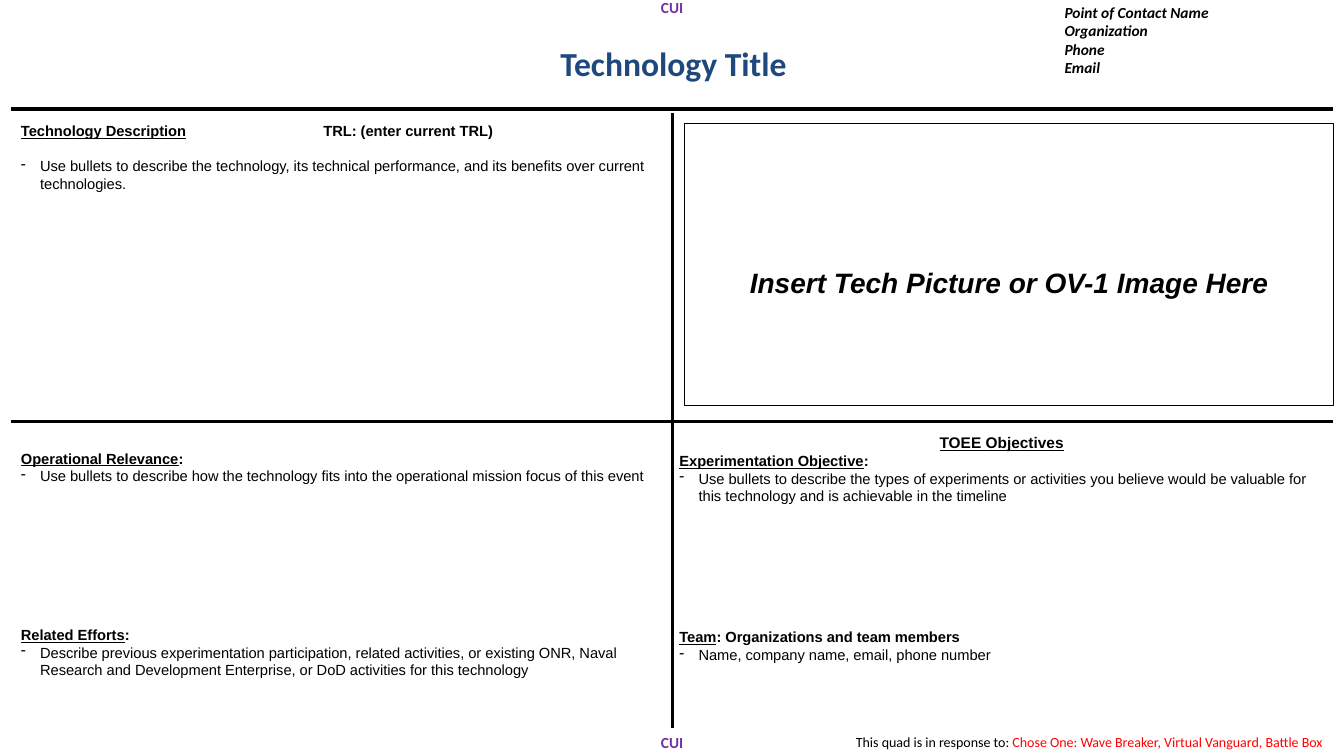
from dataclasses import dataclass

import pptx
import pptx.dml.color
import pptx.enum.shapes
import pptx.enum.text
import pptx.oxml
import pptx.oxml.ns
import pptx.util
from pptx.util import Inches

COLORS = {"black": "000000", "navy": "1F497D", "purple": "7030A0", "red": "FF0000"}
LEFT = pptx.enum.text.PP_ALIGN.LEFT
CENTER = pptx.enum.text.PP_ALIGN.CENTER
TOP = pptx.enum.text.MSO_ANCHOR.TOP
MIDDLE = pptx.enum.text.MSO_ANCHOR.MIDDLE
HANGING = 0.19  # bullet indent, inches
LINE = 12.6  # height of one body line, points


@dataclass
class Run:
    text: str
    size: float = 10.5
    font: str = "Arial"
    color: str = "black"
    bold: bool = False
    italic: bool = False
    underline: bool = False


@dataclass
class Paragraph:
    runs: list[Run]
    align: int = LEFT
    bullet: bool = False
    space_before: float = 0


@dataclass
class Box:
    left: float
    top: float
    width: float
    height: float
    paragraphs: list[Paragraph]
    anchor: int = TOP
    wrap: bool = True
    inset_top: float = 0.05
    framed: bool = False


@dataclass
class Rule:
    x1: float
    y1: float
    x2: float
    y2: float
    weight: float


def heading(underlined: str, rest: str, space_before: float = 0) -> Paragraph:
    return Paragraph([Run(underlined, bold=True, underline=True), Run(rest, bold=True)],
                     space_before=space_before)


def bullet(text: str, space_before: float = 0) -> Paragraph:
    return Paragraph([Run(text)], bullet=True, space_before=space_before)


def marking(top: float) -> Box:
    return Box(5.52, top, 2.29, 0.29,
               [Paragraph([Run("CUI", 11, "Calibri", "purple", bold=True)], CENTER)])


def rgb(name: str) -> pptx.dml.color.RGBColor:
    return pptx.dml.color.RGBColor.from_string(COLORS[name])


def add_paragraph(paragraph, content: Paragraph) -> None:
    paragraph.alignment = content.align
    paragraph.space_before = pptx.util.Pt(content.space_before)
    if content.bullet:
        properties = paragraph._p.get_or_add_pPr()
        properties.set("marL", str(Inches(HANGING)))
        properties.set("indent", str(-Inches(HANGING)))
        mark = pptx.oxml.parse_xml(
            f'<a:buChar {pptx.oxml.ns.nsdecls("a")} char="-"/>')
        properties.append(mark)
    for item in content.runs:
        run = paragraph.add_run()
        run.text = item.text
        run.font.size = pptx.util.Pt(item.size)
        run.font.name = item.font
        run.font.bold = item.bold
        run.font.italic = item.italic
        run.font.underline = item.underline
        run.font.color.rgb = rgb(item.color)


def add_box(slide, box: Box) -> None:
    place = [Inches(value) for value in (box.left, box.top, box.width, box.height)]
    if box.framed:
        shape = slide.shapes.add_shape(pptx.enum.shapes.MSO_SHAPE.RECTANGLE, *place)
        shape.shadow.inherit = False
        shape.fill.background()
        shape.line.color.rgb = rgb("black")
        shape.line.width = pptx.util.Pt(0.75)
    else:
        shape = slide.shapes.add_textbox(*place)
    frame = shape.text_frame
    frame.word_wrap = box.wrap
    frame.vertical_anchor = box.anchor
    frame.margin_top = Inches(box.inset_top)
    for index, content in enumerate(box.paragraphs):
        add_paragraph(frame.add_paragraph() if index else frame.paragraphs[0], content)


def add_rule(slide, rule: Rule) -> None:
    connector = slide.shapes.add_connector(
        pptx.enum.shapes.MSO_CONNECTOR.STRAIGHT,
        Inches(rule.x1), Inches(rule.y1), Inches(rule.x2), Inches(rule.y2))
    connector.line.color.rgb = rgb("black")
    connector.line.width = pptx.util.Pt(rule.weight)
    connector._element.spPr.append(
        pptx.oxml.parse_xml(f'<a:effectLst {pptx.oxml.ns.nsdecls("a")}/>'))


# Quadrant dividers
RULES = [
    Rule(0.11, 1.08, 13.22, 1.08, 3),
    Rule(6.67, 1.12, 6.67, 7.22, 2.25),
    Rule(0.11, 4.18, 13.22, 4.18, 2.25),
]

BOXES = [
    # Markings, contact and title
    marking(-0.07),
    marking(7.22),
    Box(10.46, -0.02, 2.63, 0.84, [
        Paragraph([Run(text, 11, "Calibri", bold=True, italic=True)])
        for text in ("Point of Contact Name", "Organization", "Phone", "Email")]),
    Box(3.18, 0.36, 7, 0.54, [
        Paragraph([Run("Technology Title", 24, "Calibri", "navy", bold=True)], CENTER)],
        anchor=MIDDLE),
    # Image area
    Box(6.79, 1.23, 6.44, 2.79, [
        Paragraph([Run("Insert Tech Picture or OV-1 Image Here", 20,
                       bold=True, italic=True)], CENTER)],
        inset_top=1.4, framed=True),
    # Technology description
    Box(0.11, 1.16, 6.44, 1.69, [
        heading("Technology Description", "\t\t\tTRL: (enter current TRL)"),
        bullet("Use bullets to describe the technology, its technical performance, "
               "and its benefits over current technologies.", LINE)]),
    # Relevance and related efforts
    Box(0.11, 4.41, 6.44, 2.58, [
        heading("Operational Relevance", ":"),
        bullet("Use bullets to describe how the technology fits into the operational "
               "mission focus of this event"),
        heading("Related Efforts", ":", 8 * LINE),
        bullet("Describe previous experimentation participation, related activities, "
               "or existing ONR, Naval Research and Development Enterprise, or DoD "
               "activities for this technology")]),
    # Objectives and team
    Box(6.64, 4.25, 6.59, 2.76, [
        Paragraph([Run("TOEE Objectives", 11, bold=True, underline=True)], CENTER),
        heading("Experimentation Objective", ":"),
        bullet("Use bullets to describe the types of experiments or activities you "
               "believe would be valuable for this technology and is achievable in "
               "the timeline"),
        heading("Team", ": Organizations and team members", 7 * LINE),
        bullet("Name, company name, email, phone number")]),
    # Response line
    Box(8.39, 7.23, 4.94, 0.27, [
        Paragraph([Run("This quad is in response to: ", 10, "Calibri"),
                   Run("Chose One: Wave Breaker, Virtual Vanguard, Battle Box",
                       10, "Calibri", "red")])], wrap=False),
]


def main() -> None:
    presentation = pptx.Presentation()
    presentation.slide_width = Inches(13.33)
    presentation.slide_height = Inches(7.5)
    slide = presentation.slides.add_slide(presentation.slide_layouts[6])
    for rule in RULES:
        add_rule(slide, rule)
    for box in BOXES:
        add_box(slide, box)
    presentation.save("out.pptx")


if __name__ == "__main__":
    main()
